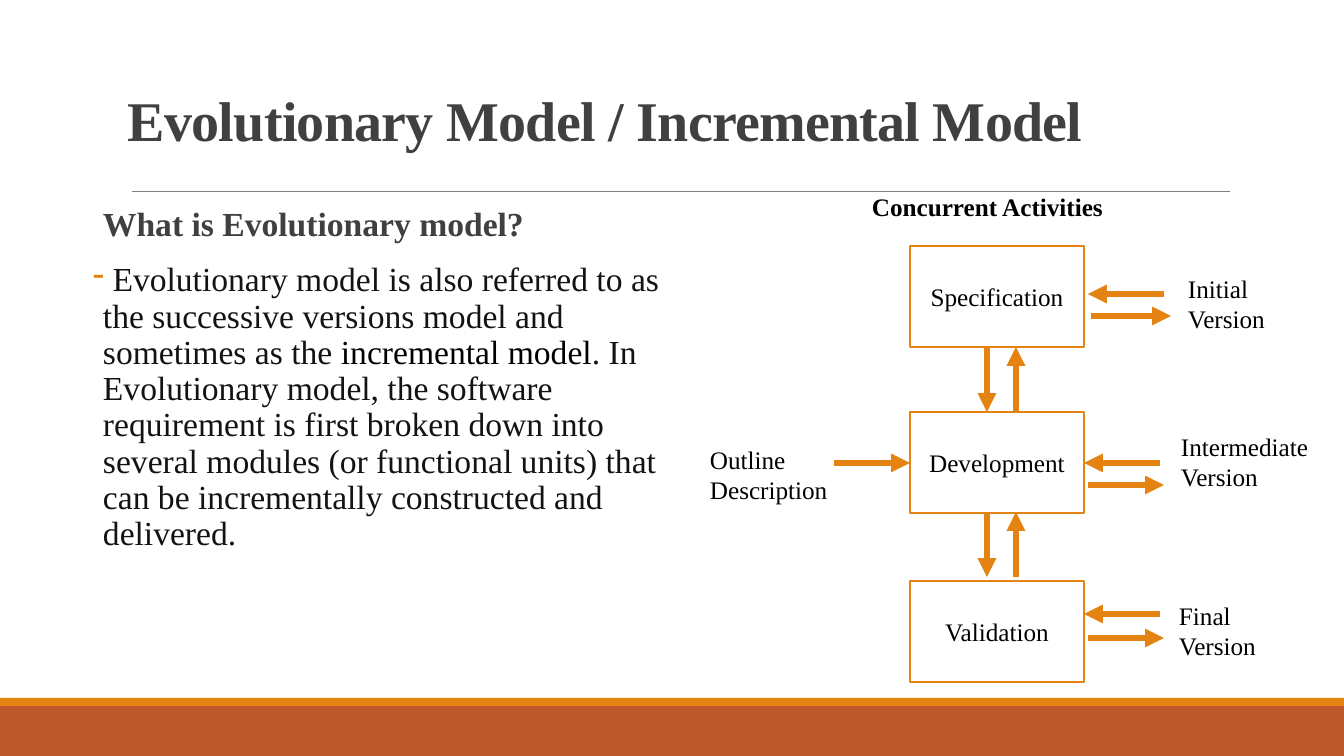
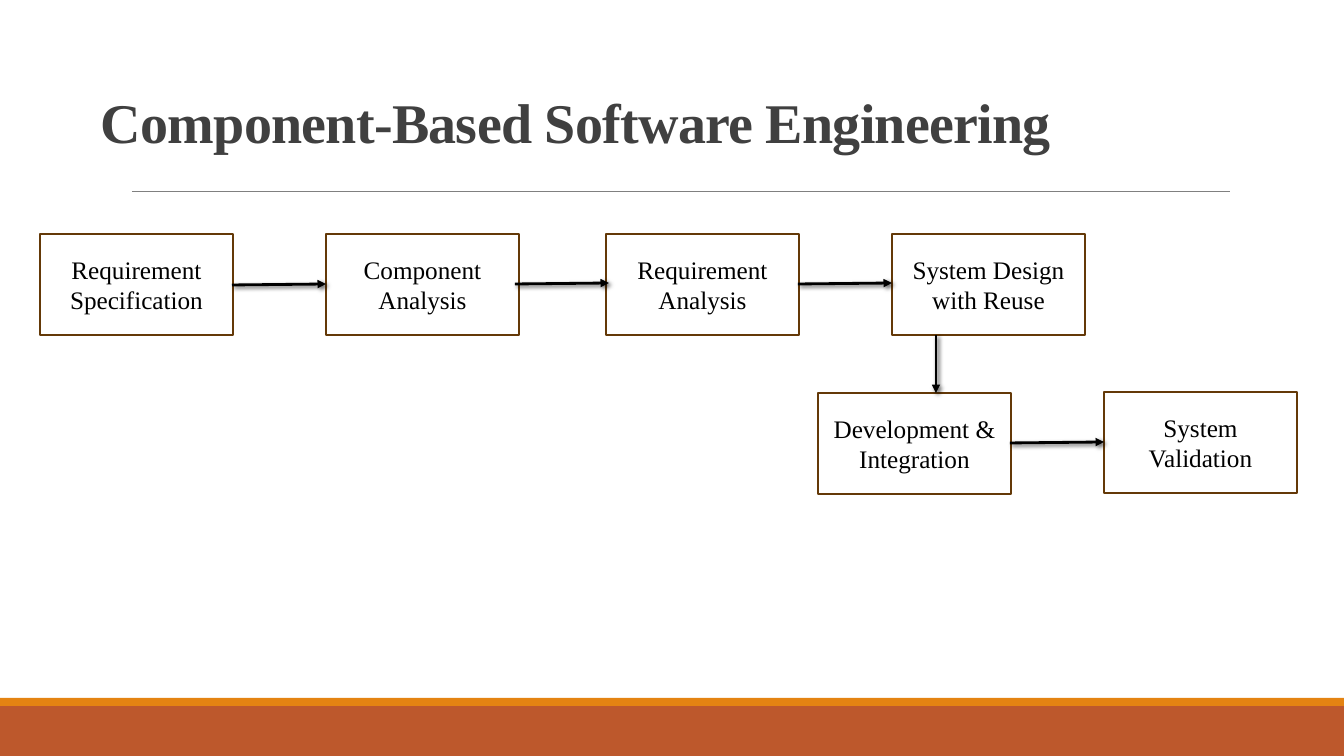
from lxml import etree
from pptx import Presentation
from pptx import util as u
from pptx.dml.color import RGBColor
from pptx.enum import shapes, text
from pptx.oxml import parse_xml
from pptx.oxml.ns import nsdecls, qn

EMU_PER_PX = 914400 / 100.8
FONT = "Times New Roman"
ORANGE, RUST, BROWN = "E48312", "BD582C", "643908"
BLACK, INK, CHARCOAL, GREY, WHITE = "000000", "131313", "404040", "808080", "FFFFFF"
SHADOW = (f'<a:outerShdw blurRad="{u.Pt(3)}" dist="{u.Pt(2)}" dir="2700000">'
          '<a:srgbClr val="000000"><a:alpha val="60000"/></a:srgbClr></a:outerShdw>')


def px(length):
    return u.Emu(round(length * EMU_PER_PX))


def color(code):
    return RGBColor.from_string(code)


class Deck:
    """Holds the presentation, its style and the current slide."""

    def __init__(self):
        self.presentation = Presentation()
        self.presentation.slide_width = px(1344)
        self.presentation.slide_height = px(756)
        self.slide = None

    def new_slide(self, title, left, top):
        self.slide = self.presentation.slides.add_slide(self.presentation.slide_layouts[6])
        # Bottom bands and title rule
        self.box(0, 706, 1344, 50, fill=RUST)
        self.box(0, 698, 1344, 8, fill=ORANGE)
        self.line((132, 191), (1230, 191), GREY, 0.5)
        # Title
        frame = self.label([title], left, top, 1109, 160, size=40, ink=CHARCOAL, bold=True)
        frame.vertical_anchor = text.MSO_ANCHOR.BOTTOM
        paragraph = frame.paragraphs[0]
        paragraph.line_spacing = 0.85
        paragraph.runs[0]._r.get_or_add_rPr().set("spc", "-50")

    def style(self, paragraph, size=18, ink=BLACK, bold=False):
        font = paragraph.font
        font.name, font.size, font.bold = FONT, u.Pt(size), bold
        font.color.rgb = color(ink)

    def add_lines(self, frame, lines, **style):
        for index, line in enumerate(lines):
            paragraph = frame.add_paragraph() if index else frame.paragraphs[0]
            paragraph.add_run().text = line
            self.style(paragraph, **style)

    def box(self, left, top, width, height, fill=WHITE, outline=None, lines=()):
        shape = self.slide.shapes.add_shape(
            shapes.MSO_SHAPE.RECTANGLE, px(left), px(top), px(width), px(height))
        shape.shadow.inherit = False
        shape.fill.solid()
        shape.fill.fore_color.rgb = color(fill)
        if outline:
            shape.line.color.rgb = color(outline)
            shape.line.width = u.Pt(1.25)
        else:
            shape.line.fill.background()
        frame = shape.text_frame
        frame.vertical_anchor = text.MSO_ANCHOR.MIDDLE
        self.add_lines(frame, lines)
        for paragraph in frame.paragraphs:
            paragraph.alignment = text.PP_ALIGN.CENTER

    def label(self, lines, left, top, width, height, wrap=True, **style):
        shape = self.slide.shapes.add_textbox(px(left), px(top), px(width), px(height))
        frame = shape.text_frame
        frame.word_wrap = wrap
        self.add_lines(frame, lines, **style)
        return frame

    def body(self, heading, runs, left, top, width, height):
        frame = self.label([heading], left, top, width, height, size=24, ink=CHARCOAL, bold=True)
        frame.margin_left = frame.margin_right = 0
        paragraph = frame.add_paragraph()
        paragraph.space_before = u.Pt(12)
        for item in frame.paragraphs:
            item.line_spacing = 0.9
            item.space_after = u.Pt(2)
            item._p.get_or_add_pPr().set("marL", str(px(10)))
        # Dash bullet
        properties = paragraph._p.get_or_add_pPr()
        properties.set("indent", str(-px(10)))
        bullet_color = etree.SubElement(properties, qn("a:buClr"))
        etree.SubElement(bullet_color, qn("a:srgbClr"), val=ORANGE)
        etree.SubElement(properties, qn("a:buChar"), char="-")
        self.style(paragraph, size=24, ink=INK)
        for words, ink in runs:
            run = paragraph.add_run()
            run.text = words
            run.font.color.rgb = color(ink)

    def line(self, start, end, ink, width, head=False, shadow=False):
        connector = self.slide.shapes.add_connector(
            shapes.MSO_CONNECTOR.STRAIGHT, *map(px, start + end))
        connector.line.color.rgb = color(ink)
        connector.line.width = u.Pt(width)
        properties = connector._element.spPr
        if head:
            etree.SubElement(properties.find(qn("a:ln")), qn("a:tailEnd"), type="triangle")
        effects = SHADOW if shadow else ""
        properties.append(parse_xml(f'<a:effectLst {nsdecls("a")}>{effects}</a:effectLst>'))

    def thick_arrow(self, start, end):
        self.line(start, end, ORANGE, 4.5, head=True)

    def flow_arrow(self, start, end):
        self.line(start, end, BLACK, 2, head=True, shadow=True)


def evolutionary_model(deck):
    deck.new_slide("Evolutionary Model / Incremental Model", 118, -2)
    deck.body("What is Evolutionary model?", [
        (" Evolutionary model is also referred to as the successive versions model "
         "and sometimes as the ", INK),
        ("incremental model", BLACK),
        (". In Evolutionary model, the software requirement is first broken down into several "
         "modules (or functional units) that can be incrementally constructed and delivered.", INK),
    ], 93, 202, 570, 480)

    # Activities, each exchanging arrows with its version
    deck.label(["Concurrent Activities"], 862, 186, 254, 40, wrap=False, bold=True)
    activities = [
        ("Specification", 246, "Initial", (1178, 268, 98), (1164, 294), (1091, 316), 80),
        ("Development", 412, "Intermediate", (1171, 426, 149), (1160, 463), (1088, 485), 76),
        ("Validation", 581, "Final", (1169, 595, 98), (1160, 614), (1088, 638), 76),
    ]
    for name, top, version, (left, label_top, width), inward, outward, length in activities:
        deck.box(910, top, 174, 101, outline=ORANGE, lines=[name])
        deck.label([version, "Version"], left, label_top, width, 72, wrap=False)
        deck.thick_arrow(inward, (inward[0] - 76, inward[1]))
        deck.thick_arrow(outward, (outward[0] + length, outward[1]))

    # Arrows between activities
    for top, bottom in ((347, 412), (512, 577)):
        deck.thick_arrow((987, top), (987, bottom))
        deck.thick_arrow((1016, bottom), (1016, top))

    # Input to development
    deck.label(["Outline Description"], 700, 439, 148, 72)
    deck.thick_arrow((834, 463), (910, 463))


def component_based_engineering(deck):
    deck.new_slide("Component-Based Software Engineering", 91, 0)
    steps = [
        (40, 234, ["Requirement", "Specification"]),
        (326, 234, ["Component", "Analysis"]),
        (606, 234, ["Requirement", "Analysis"]),
        (892, 234, ["System Design with Reuse"]),
        (818, 393, ["Development &", "Integration"]),
        (1104, 392, ["System", "Validation"]),
    ]
    for left, top, lines in steps:
        deck.box(left, top, 193, 101, outline=BROWN, lines=lines)

    # Arrows from step to step
    for left, top in ((232, 285), (515, 284), (798, 284), (1010, 443)):
        deck.flow_arrow((left, top), (left + 94, top - 1))
    deck.flow_arrow((936, 335), (936, 393))


def main():
    deck = Deck()
    evolutionary_model(deck)
    component_based_engineering(deck)
    deck.presentation.save("out.pptx")


if __name__ == "__main__":
    main()
